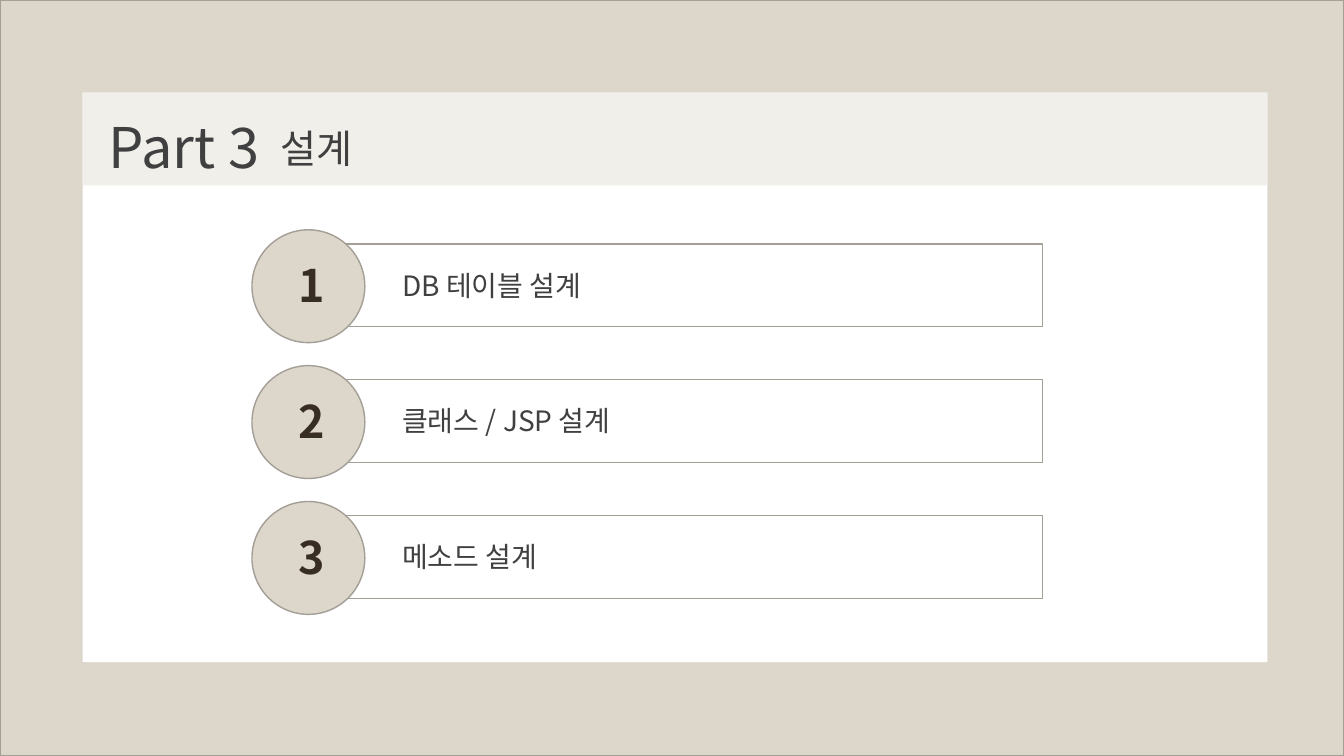
from dataclasses import dataclass, replace

import pptx
import pptx.dml.color
import pptx.enum.shapes
import pptx.enum.text
import pptx.oxml
import pptx.oxml.ns
import pptx.util

SLIDE_WIDTH, SLIDE_HEIGHT = pptx.util.Inches(13.33), pptx.util.Inches(7.5)
FONT = "Noto Sans CJK KR"
SAND, WHITE, IVORY = "DDD6CB", "FFFFFF", "F1EFEA"
OUTLINE, BROWN, GRAY = "A39E96", "382D22", "404040"
RECTANGLE = pptx.enum.shapes.MSO_SHAPE.RECTANGLE
OVAL = pptx.enum.shapes.MSO_SHAPE.OVAL
ROW_STEP = 17.97


@dataclass(frozen=True)
class Area:
    """Place in percent of the slide's width and height."""
    left: float
    top: float
    width: float
    height: float

    def down(self, rows: int) -> "Area":
        return replace(self, top=self.top + rows * ROW_STEP)

    def emu(self) -> tuple[int, int, int, int]:
        return (round(SLIDE_WIDTH * self.left / 100), round(SLIDE_HEIGHT * self.top / 100),
                round(SLIDE_WIDTH * self.width / 100), round(SLIDE_HEIGHT * self.height / 100))


@dataclass(frozen=True)
class Lettering:
    size: int
    color: str = GRAY
    bold: bool = False
    wrap: bool = False


def rgb(value: str) -> pptx.dml.color.RGBColor:
    return pptx.dml.color.RGBColor.from_string(value)


def draw_block(slide, kind, area: Area, fill: str, outline: str | None = None) -> None:
    block = slide.shapes.add_shape(kind, *area.emu())
    block.shadow.inherit = False
    block.fill.solid()
    block.fill.fore_color.rgb = rgb(fill)
    if outline:
        block.line.color.rgb = rgb(outline)
        block.line.width = pptx.util.Pt(1)
    else:
        block.line.fill.background()


def draw_text(slide, area: Area, text: str, style: Lettering) -> None:
    frame = slide.shapes.add_textbox(*area.emu()).text_frame
    frame.text = text
    frame.word_wrap = style.wrap
    frame.auto_size = pptx.enum.text.MSO_AUTO_SIZE.SHAPE_TO_FIT_TEXT
    run = frame.paragraphs[0].runs[0]
    run.font.name = FONT
    run.font.size = pptx.util.Pt(style.size)
    run.font.bold = style.bold
    run.font.color.rgb = rgb(style.color)
    # Hangul takes the East Asian typeface
    hangul = pptx.oxml.parse_xml(f'<a:ea {pptx.oxml.ns.nsdecls("a")} typeface="{FONT}"/>')
    run.font._element.find(pptx.oxml.ns.qn("a:latin")).addnext(hangul)


def draw_topic(slide, row: int, topic: str) -> None:
    draw_block(slide, RECTANGLE, Area(22.58, 32.27, 55, 10.93).down(row), WHITE, OUTLINE)
    draw_block(slide, OVAL, Area(18.75, 30.4, 8.4, 14.93).down(row), SAND, OUTLINE)
    draw_text(slide, Area(21.45, 33.47, 3.6, 8.53).down(row), str(row + 1),
              Lettering(32, BROWN, bold=True))
    draw_text(slide, Area(29.18, 34.8, 25.73, 5.87).down(row), topic,
              Lettering(20, wrap=True))


def main() -> None:
    deck = pptx.Presentation()
    deck.slide_width, deck.slide_height = SLIDE_WIDTH, SLIDE_HEIGHT
    slide = deck.slides.add_slide(deck.slide_layouts[6])
    slide.background.fill.solid()
    slide.background.fill.fore_color.rgb = rgb(SAND)

    # Frame, panel and header band
    draw_block(slide, RECTANGLE, Area(0, 0, 100, 100), SAND, OUTLINE)
    draw_block(slide, RECTANGLE, Area(6.15, 12.27, 88.15, 75.33), WHITE)
    draw_block(slide, RECTANGLE, Area(6.15, 12.27, 88.15, 12.27), IVORY)

    # Numbered topics
    for row, topic in enumerate(("DB 테이블 설계", "클래스 / JSP 설계", "메소드 설계")):
        draw_topic(slide, row, topic)

    # Heading
    draw_text(slide, Area(7.35, 14.27, 13.8, 10.27), "Part 3", Lettering(40))
    draw_text(slide, Area(20.1, 15.73, 7.05, 7.6), "설계", Lettering(28))

    deck.save("out.pptx")


if __name__ == "__main__":
    main()
